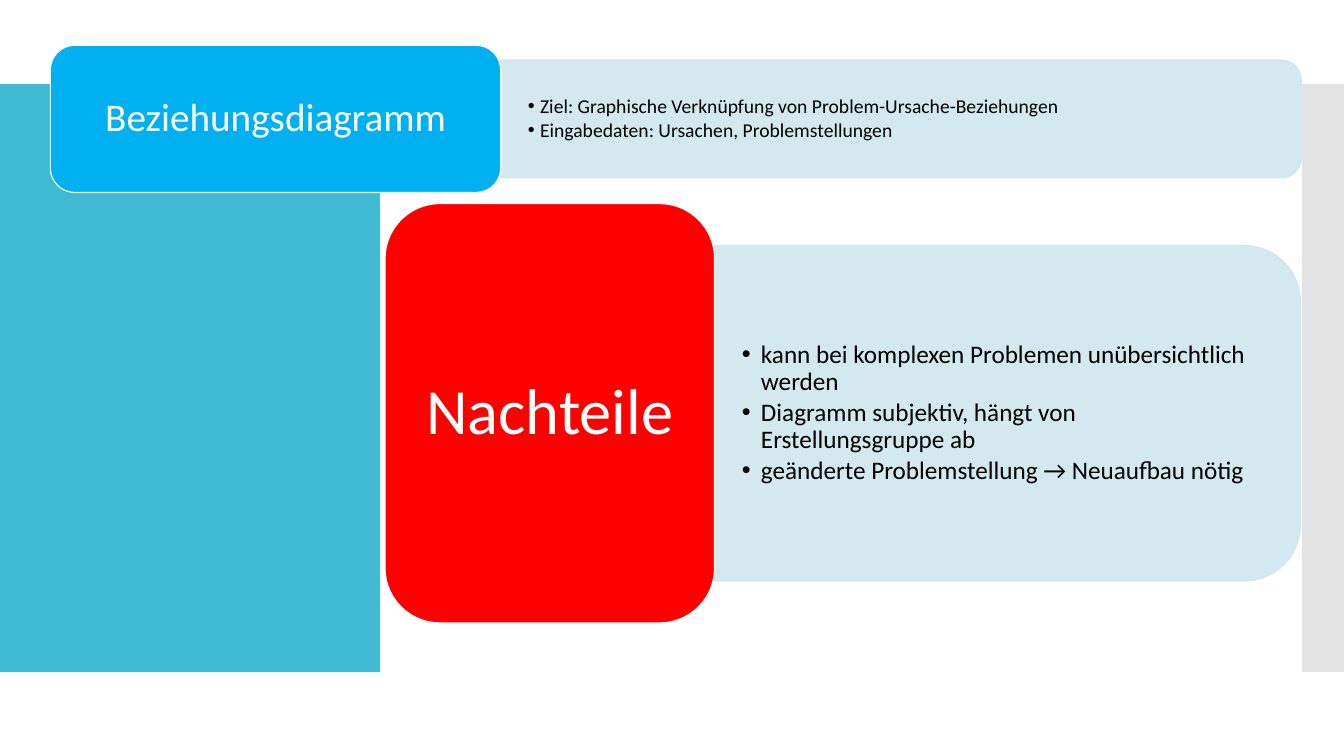
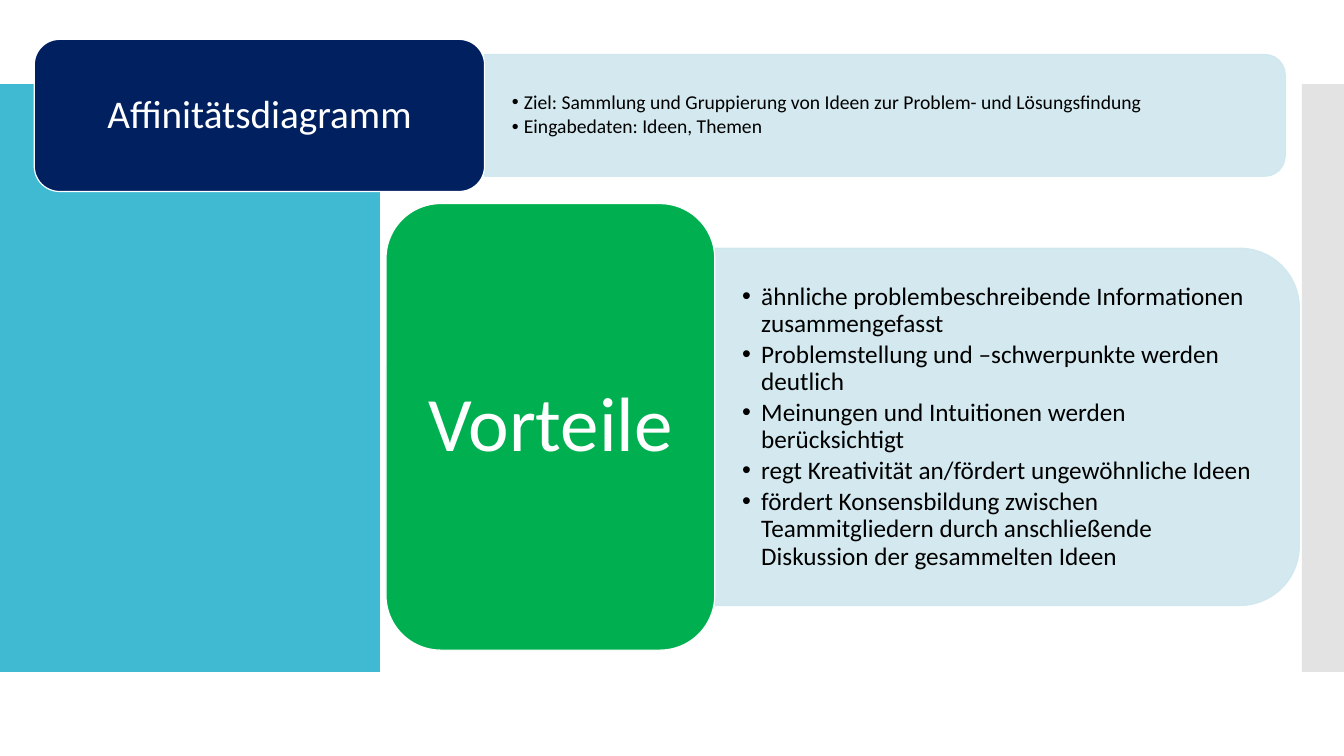
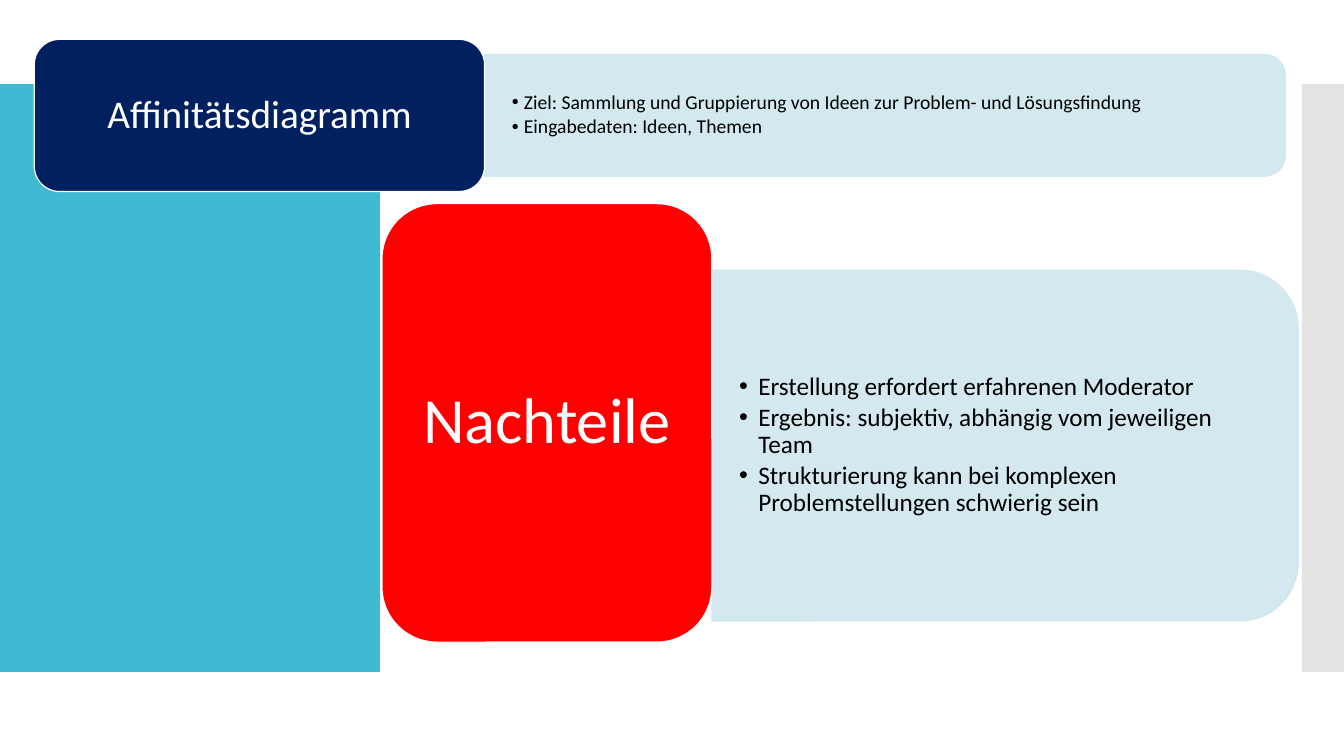
from lxml import etree
from pptx import Presentation
from pptx.dml.color import RGBColor
from pptx.enum.shapes import MSO_SHAPE
from pptx.enum.text import MSO_ANCHOR, MSO_AUTO_SIZE, PP_ALIGN
from pptx.oxml.ns import qn
from pptx.util import Inches, Pt

RECT = MSO_SHAPE.RECTANGLE
ROUND = MSO_SHAPE.ROUNDED_RECTANGLE
CAP = MSO_SHAPE.ROUND_2_SAME_RECTANGLE
MID = MSO_ANCHOR.MIDDLE
FIXED = MSO_AUTO_SIZE.NONE
LEFT, CENTER = PP_ALIGN.LEFT, PP_ALIGN.CENTER

COLS, ROWS = 160, 90
UNIT = Inches(1) // 12
FONT = "Calibri"
EDGE = Pt(0.85)
TAB, TALL = 0.36, 0.8
HEX = {
    "teal": "40BAD2", "gray": "C8C8C8", "pale": "CFE7EE",
    "red": "FF0000", "green": "00B050", "sky": "00B0F0",
    "navy": "002060", "white": "FFFFFF", "black": "000000",
}
BANDS = [((0, 10, 45.24, 70), "teal", 100), ((155, 10, 5, 70), "gray", 50)]

AFFIN = {
    "box": (4.08, 4.68, 148.92, 18.12), "name": "Affinitätsdiagramm", "fill": "navy",
    "list": [
        "Ziel: Sammlung und Gruppierung von Ideen zur Problem- und Lösungsfindung",
        "Eingabedaten: Ideen, Themen",
    ],
}
RELATE = {
    "box": (6, 5.4, 148.92, 17.52), "name": "Beziehungsdiagramm", "fill": "sky",
    "list": [
        "Ziel: Graphische Verknüpfung von Problem-Ursache-Beziehungen",
        "Eingabedaten: Ursachen, Problemstellungen",
    ],
}
PAGES = [
    (RELATE, {
        "box": (45.84, 24.24, 108.96, 49.92), "name": "Nachteile", "fill": "red", "size": 46,
        "list": [
            "kann bei komplexen Problemen unübersichtlich werden",
            "Diagramm subjektiv, hängt von Erstellungsgruppe ab",
            "geänderte Problemstellung → Neuaufbau nötig",
        ],
    }),
    (AFFIN, {
        "box": (45.96, 24.24, 108.72, 53.16), "name": "Vorteile", "fill": "green", "size": 55,
        "list": [
            "ähnliche problembeschreibende Informationen zusammengefasst",
            "Problemstellung und –schwerpunkte werden deutlich",
            "Meinungen und Intuitionen werden berücksichtigt",
            "regt Kreativität an/fördert ungewöhnliche Ideen",
            "fördert Konsensbildung zwischen Teammitgliedern durch anschließende "
            "Diskussion der gesammelten Ideen",
        ],
    }),
    (AFFIN, {
        "box": (45.48, 24.24, 109.08, 52.2), "name": "Nachteile", "fill": "red", "size": 46,
        "drop": 2.7,
        "list": [
            "Erstellung erfordert erfahrenen Moderator",
            "Ergebnis: subjektiv, abhängig vom jeweiligen Team",
            "Strukturierung kann bei komplexen Problemstellungen schwierig sein",
        ],
    }),
]


def grid(box):
    """Turn columns and rows into slide lengths."""
    return [round(part * UNIT) for part in box]


def paint(fill, name):
    """Make a fill one solid colour."""
    fill.solid()
    fill.fore_color.rgb = RGBColor.from_string(HEX[name])


def draw(slide, kind, box, fill, line=None, alpha=100):
    """Add a flat shape with its fill, edge and opacity."""
    shape = slide.shapes.add_shape(kind, *grid(box))
    shape.shadow.inherit = False
    paint(shape.fill, fill)
    if line:
        paint(shape.line.fill, line)
        shape.line.width = EDGE
    else:
        shape.line.fill.background()
    if alpha < 100:
        for tone in shape.element.spPr.iter(qn("a:srgbClr")):
            etree.SubElement(tone, qn("a:alpha")).set("val", str(alpha * 1000))
    return shape


def place(holder, box):
    """Move a placeholder to a box, in front of what is there."""
    holder.left, holder.top, holder.width, holder.height = grid(box)
    holder.element.getparent().append(holder.element)


def write(shape, lines, size, color, align, inset, after=0, indent=0):
    """Fill a shape with paragraphs, bulleted when an indent is given."""
    frame = shape.text_frame
    frame.word_wrap = True
    frame.auto_size = FIXED
    frame.vertical_anchor = MID
    frame.margin_left = frame.margin_right = Inches(inset)
    frame.margin_top = frame.margin_bottom = Inches(inset / 2)
    for row, line in enumerate(lines):
        para = frame.add_paragraph() if row else frame.paragraphs[0]
        para.alignment = align
        para.line_spacing = 0.9
        para.space_before = Pt(0)
        para.space_after = Pt(round(size * after, 1))
        if indent:
            props = para._p.get_or_add_pPr()
            props.set("marL", str(Inches(indent)))
            props.set("indent", str(-Inches(indent)))
            etree.SubElement(props, qn("a:buChar")).set("char", "•")
        run = para.add_run()
        run.text = line
        run.font.name = FONT
        run.font.size = Pt(size)
        run.font.color.rgb = RGBColor.from_string(HEX[color])


def panel(slide, holder, box, lines, size, indent, drop=0):
    """Draw the pale panel right of the tab and set its list."""
    left, top, wide, high = box
    x, w, h = left + wide * TAB, wide * (1 - TAB), high * TALL
    y = top + (high - h) / 2 + drop
    turned = (x + (w - h) / 2, y + (h - w) / 2, h, w)
    draw(slide, CAP, turned, "pale", "pale", 90).rotation = 90
    place(holder, (x, y + h * 0.05, w - h * 0.05, h * 0.9))
    write(holder, lines, size, "black", LEFT, 0.27, 0.15, indent)


def tab(slide, box, fill):
    """Draw the coloured tab on the left share of a box."""
    left, top, wide, high = box
    return draw(slide, ROUND, (left, top, wide * TAB, high), fill, "white")


def head(slide, title, holder, data):
    """Build the top row: diagram name with goal and input."""
    left, top, wide, high = box = data["box"]
    panel(slide, holder, box, data["list"], 14, 0.12)
    tab(slide, box, data["fill"])
    place(title, (left, top, wide * TAB, high))
    write(title, [data["name"]], 28, "white", CENTER, 0.2)


def detail(slide, holder, data):
    """Build the large row: pros or cons with their list."""
    panel(slide, holder, data["box"], data["list"], 18, 0.19, data.get("drop", 0))
    label = tab(slide, data["box"], data["fill"])
    write(label, [data["name"]], data["size"], "white", CENTER, 0.1)


def bands(slide, layout):
    """Put the side bands on the layout, behind its placeholders."""
    first = layout.shapes[0].element
    for code, (box, fill, alpha) in enumerate(BANDS, 101):
        band = draw(slide, RECT, box, fill, alpha=alpha).element
        next(band.iter(qn("p:cNvPr"))).set("id", str(code))
        first.addprevious(band)


def main():
    """Build and save the deck."""
    deck = Presentation()
    deck.slide_width, deck.slide_height = COLS * UNIT, ROWS * UNIT
    layout = deck.slide_layouts[3]
    for top, low in PAGES:
        slide = deck.slides.add_slide(layout)
        if len(deck.slides) == 1:
            bands(slide, layout)
        title, brief, notes = list(slide.placeholders)
        head(slide, title, brief, top)
        detail(slide, notes, low)
    deck.save("out.pptx")


if __name__ == "__main__":
    main()
